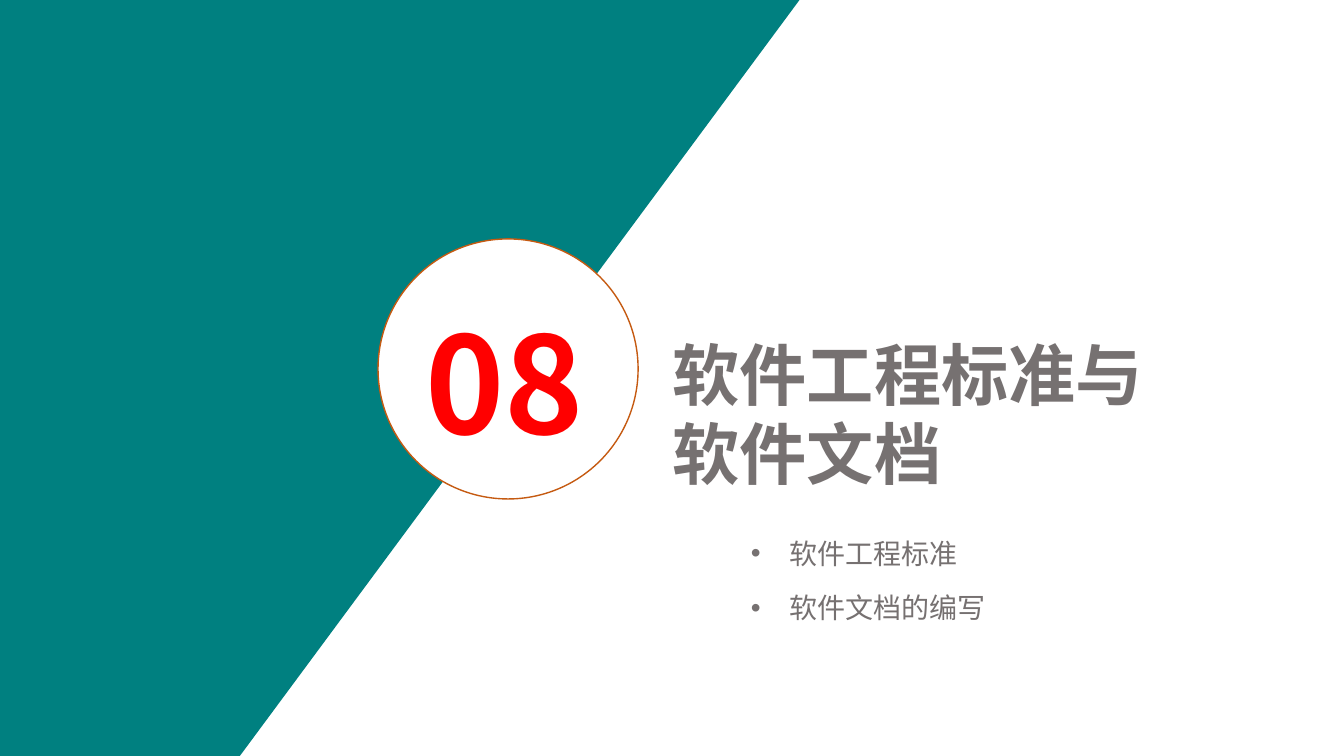
import lxml.etree
import pptx
import pptx.util
import pptx.dml.color
import pptx.enum.shapes
import pptx.enum.text
import pptx.oxml.ns

TEAL = pptx.dml.color.RGBColor(0x00, 0x80, 0x80)
WHITE = pptx.dml.color.RGBColor(0xFF, 0xFF, 0xFF)
ORANGE = pptx.dml.color.RGBColor(0xC5, 0x5A, 0x11)
RED = pptx.dml.color.RGBColor(0xFF, 0x00, 0x00)
GRAY = pptx.dml.color.RGBColor(0x76, 0x71, 0x71)

FONT = "Noto Sans CJK SC"
COLUMN = pptx.util.Inches(13.33) / 100
ROW = pptx.util.Inches(7.5) / 100
CHAPTER_TITLE = "软件工程标准与\n软件文档"
SECTIONS = ["软件工程标准", "软件文档的编写"]


def place(left, top, width, height):
    return (round(left * COLUMN), round(top * ROW),
            round(width * COLUMN), round(height * ROW))


def add_wedge(slide, top_edge, bottom_edge):
    outline = slide.shapes.build_freeform(0, 0)
    outline.add_line_segments([
        (round(top_edge * COLUMN), 0),
        (round(bottom_edge * COLUMN), round(100 * ROW)),
        (0, round(100 * ROW)),
    ])
    wedge = outline.convert_to_shape()
    wedge.shadow.inherit = False
    wedge.fill.solid()
    wedge.fill.fore_color.rgb = TEAL
    wedge.line.fill.background()


def add_disc(slide, area):
    disc = slide.shapes.add_shape(pptx.enum.shapes.MSO_SHAPE.OVAL, *area)
    disc.shadow.inherit = False
    disc.fill.solid()
    disc.fill.fore_color.rgb = WHITE
    disc.line.color.rgb = ORANGE
    disc.line.width = pptx.util.Pt(1)


def write(frame, text, size, color, leading, bold=False):
    frame.text = text
    frame.word_wrap = True
    frame.auto_size = pptx.enum.text.MSO_AUTO_SIZE.NONE
    frame.vertical_anchor = pptx.enum.text.MSO_ANCHOR.TOP
    for paragraph in frame.paragraphs:
        paragraph.alignment = pptx.enum.text.PP_ALIGN.LEFT
        paragraph.space_before = pptx.util.Pt(0)
        paragraph.line_spacing = pptx.util.Pt(leading)
        for run in paragraph.runs:
            run.font.size = pptx.util.Pt(size)
            run.font.bold = bold
            run.font.color.rgb = color
            run.font.name = FONT
            east_asian = lxml.etree.Element(pptx.oxml.ns.qn("a:ea"), typeface=FONT)
            run.font._element.find(pptx.oxml.ns.qn("a:latin")).addnext(east_asian)


def add_label(slide, area, *style, **options):
    frame = slide.shapes.add_textbox(*area).text_frame
    write(frame, *style, **options)
    return frame


def add_bullet(paragraph):
    properties = paragraph._p.get_or_add_pPr()
    indent = pptx.util.Inches(0.38)
    properties.set("marL", str(indent))
    properties.set("indent", str(-indent))
    lxml.etree.SubElement(properties, pptx.oxml.ns.qn("a:buFont"), typeface="Arial")
    lxml.etree.SubElement(properties, pptx.oxml.ns.qn("a:buChar"), char="•")


def set_title(slide, area):
    title = slide.shapes.title
    title.left, title.top, title.width, title.height = area
    write(title.text_frame, CHAPTER_TITLE, 48, GRAY, 56.5, bold=True)


def main():
    deck = pptx.Presentation()
    deck.slide_width = round(100 * COLUMN)
    deck.slide_height = round(100 * ROW)
    slide = deck.slides.add_slide(deck.slide_layouts[5])

    add_wedge(slide, 59.49, 17.85)
    add_disc(slide, place(28.13, 31.6, 19.35, 34.4))
    add_label(slide, place(30.9, 37.47, 14.25, 24.13), "08", 96, RED, 124, bold=True)
    set_title(slide, place(49.28, 43.6, 42.15, 22.4))
    for index, section in enumerate(SECTIONS):
        area = place(55.13, 70.13 + 7.2 * index, 30.45, 6.13)
        frame = add_label(slide, area, section, 20, GRAY, 25)
        add_bullet(frame.paragraphs[0])

    deck.save("out.pptx")


if __name__ == "__main__":
    main()
